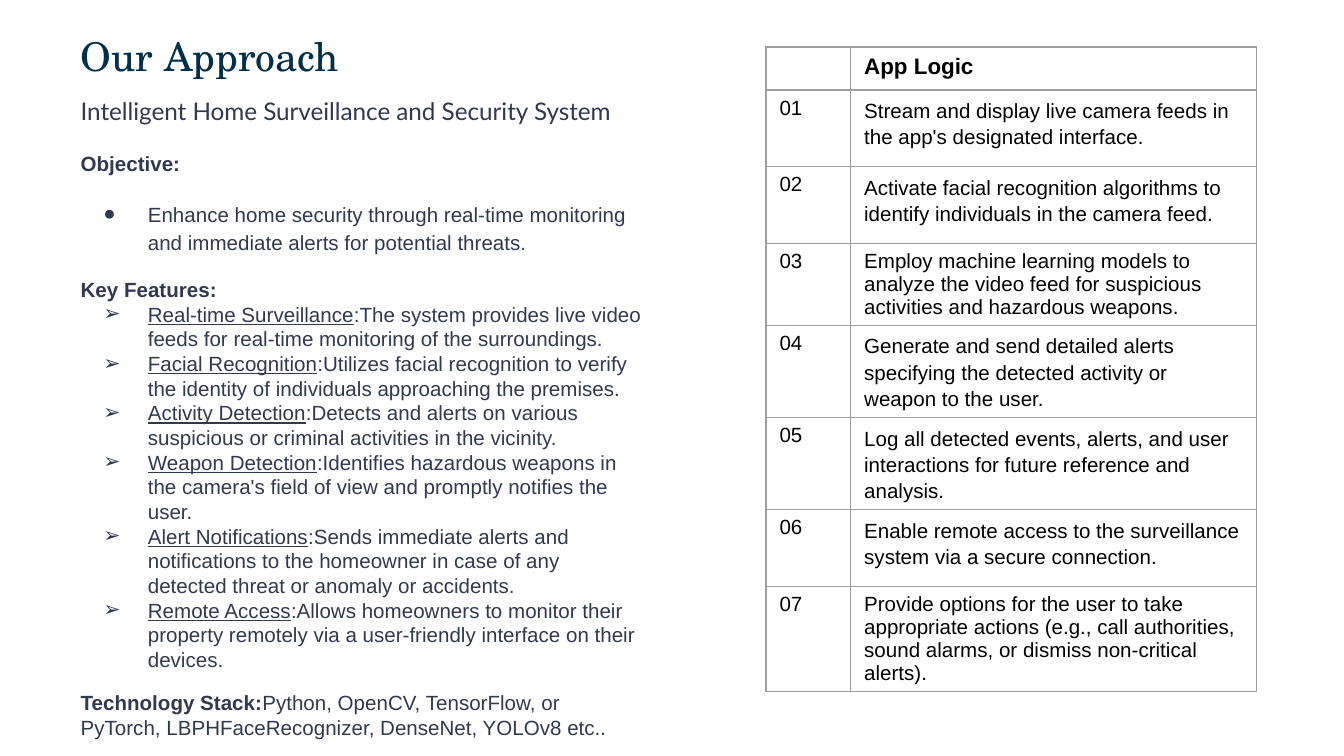
from lxml import etree
from pptx import Presentation
from pptx.dml.color import RGBColor
from pptx.enum.text import MSO_ANCHOR, MSO_AUTO_SIZE, PP_ALIGN
from pptx.oxml.ns import qn
from pptx.util import Inches, Pt

TOP, LEFT, NO_FIT = MSO_ANCHOR.TOP, PP_ALIGN.LEFT, MSO_AUTO_SIZE.NONE
COLORS = {"title": "002F4A", "body": "31394D", "cell": "000000", "grid": "9E9E9E"}


def write(text, para, size=11, font="Arial", color="body", bold=False, under=False):
    """Add one formatted run to a paragraph."""
    run = para.add_run()
    run.text = text
    run.font.size, run.font.name = Pt(size), font
    run.font.bold, run.font.underline = bold, under
    run.font.color.rgb = RGBColor.from_string(COLORS[color])


def start(frame, bullet=None, before=0, after=0, lines=1.0):
    """Open a paragraph, using the empty first one when there is one."""
    first = frame.paragraphs[0]
    para = frame.add_paragraph() if first.runs else first
    props = para._p.get_or_add_pPr()
    props.set("marL", str(Inches(0.5 if bullet else 0)))
    props.set("indent", str(Inches(-0.33 if bullet else 0)))
    if bullet:
        tint = etree.SubElement(props, qn("a:buClr"))
        etree.SubElement(tint, qn("a:srgbClr"), val=COLORS["body"])
        etree.SubElement(props, qn("a:buFont"), typeface="Arial")
        etree.SubElement(props, qn("a:buChar"), char=bullet)
    else:
        etree.SubElement(props, qn("a:buNone"))
    para.alignment, para.line_spacing = LEFT, lines
    para.space_before, para.space_after = Pt(before), Pt(after)
    return para


# Slide in 16:9
prs = Presentation()
prs.slide_width = Inches(10)
prs.slide_height = Inches(10 * 9 / 16)
slide = prs.slides.add_slide(prs.slide_layouts[1])
title, body = slide.placeholders

# Placeholder frames
for shape, box in ((title, (0.5, 0.14, 4.78, 0.49)), (body, (0.5, 0.58, 4.39, 4.4))):
    shape.left, shape.top, shape.width, shape.height = map(Inches, box)
    frame = shape.text_frame
    frame.word_wrap, frame.auto_size, frame.vertical_anchor = True, NO_FIT, TOP
    frame.margin_left = frame.margin_right = Inches(0.1)
    frame.margin_top = frame.margin_bottom = Inches(0.1)

# Title
write("Our Approach", start(title.text_frame), size=21.2,
      font="TeX Gyre Schola", color="title")

# Subtitle and objective
frame = body.text_frame
write("Intelligent Home Surveillance and Security System",
      start(frame, lines=1.15), size=13, font="Lato")
write("Objective:", start(frame, before=12, lines=1.15), bold=True)
write("Enhance home security through real-time monitoring and immediate alerts "
      "for potential threats.", start(frame, bullet="●", before=12, lines=1.15))

# Key features
features = [
    ("Real-time Surveillance",
     "The system provides live video feeds for real-time monitoring of the surroundings."),
    ("Facial Recognition",
     "Utilizes facial recognition to verify the identity of individuals "
     "approaching the premises."),
    ("Activity Detection",
     "Detects and alerts on various suspicious or criminal activities in the vicinity."),
    ("Weapon Detection",
     "Identifies hazardous weapons in the camera's field of view and promptly "
     "notifies the user."),
    ("Alert Notifications",
     "Sends immediate alerts and notifications to the homeowner in case of any "
     "detected threat or anomaly or accidents."),
    ("Remote Access",
     "Allows homeowners to monitor their property remotely via a user-friendly "
     "interface on their devices."),
]
write("Key Features:", start(frame, before=12), bold=True)
for name, detail in features:
    para = start(frame, bullet="➢")
    write(name, para, under=True)
    write(":" + detail, para)

# Technology stack
para = start(frame, before=10, after=10)
write("Technology Stack:", para, bold=True)
write("Python, OpenCV, TensorFlow, or PyTorch, LBPHFaceRecognizer, DenseNet, "
      "YOLOv8 etc..", para)

# App logic: step text and its line spacing
steps = [
    ("Stream and display live camera feeds in the app's designated interface.", 1.15),
    ("Activate facial recognition algorithms to identify individuals in the "
     "camera feed.", 1.15),
    ("Employ machine learning models to analyze the video feed for suspicious "
     "activities and hazardous weapons.", 1.0),
    ("Generate and send detailed alerts specifying the detected activity or "
     "weapon to the user.", 1.15),
    ("Log all detected events, alerts, and user interactions for future "
     "reference and analysis.", 1.15),
    ("Enable remote access to the surveillance system via a secure connection.", 1.15),
    ("Provide options for the user to take appropriate actions (e.g., call "
     "authorities, sound alarms, or dismiss non-critical alerts).", 1.0),
]
table = slide.shapes.add_table(len(steps) + 1, 2, Inches(5.7), Inches(0.35),
                               Inches(3.65), Inches(4.31)).table
table.first_row = table.horz_banding = False
for col, width in zip(table.columns, (0.63, 3.02)):
    col.width = Inches(width)
for num, row in enumerate(table.rows):
    row.height = Inches(0.57 if num else 0.32)

# Table text
head = table.cell(0, 0).text_frame.paragraphs[0]
head._p.get_or_add_endParaRPr().set("sz", "1200")
write("App Logic", start(table.cell(0, 1).text_frame), size=12, color="cell", bold=True)
for num, (text, lines) in enumerate(steps, 1):
    write(f"{num:02}", start(table.cell(num, 0).text_frame), color="cell")
    write(text, start(table.cell(num, 1).text_frame, lines=lines), color="cell")

# Cell borders and margins
for cell in table.iter_cells():
    cell.margin_left = cell.margin_right = Inches(0.1)
    cell.margin_top = cell.margin_bottom = Inches(0.05)
    cell.vertical_anchor = TOP
    props = cell._tc.get_or_add_tcPr()
    for side in ("lnL", "lnR", "lnT", "lnB"):
        line = etree.SubElement(props, qn("a:" + side), w=str(Pt(0.75)))
        fill = etree.SubElement(line, qn("a:solidFill"))
        etree.SubElement(fill, qn("a:srgbClr"), val=COLORS["grid"])
    cell.fill.background()

prs.save("out.pptx")
